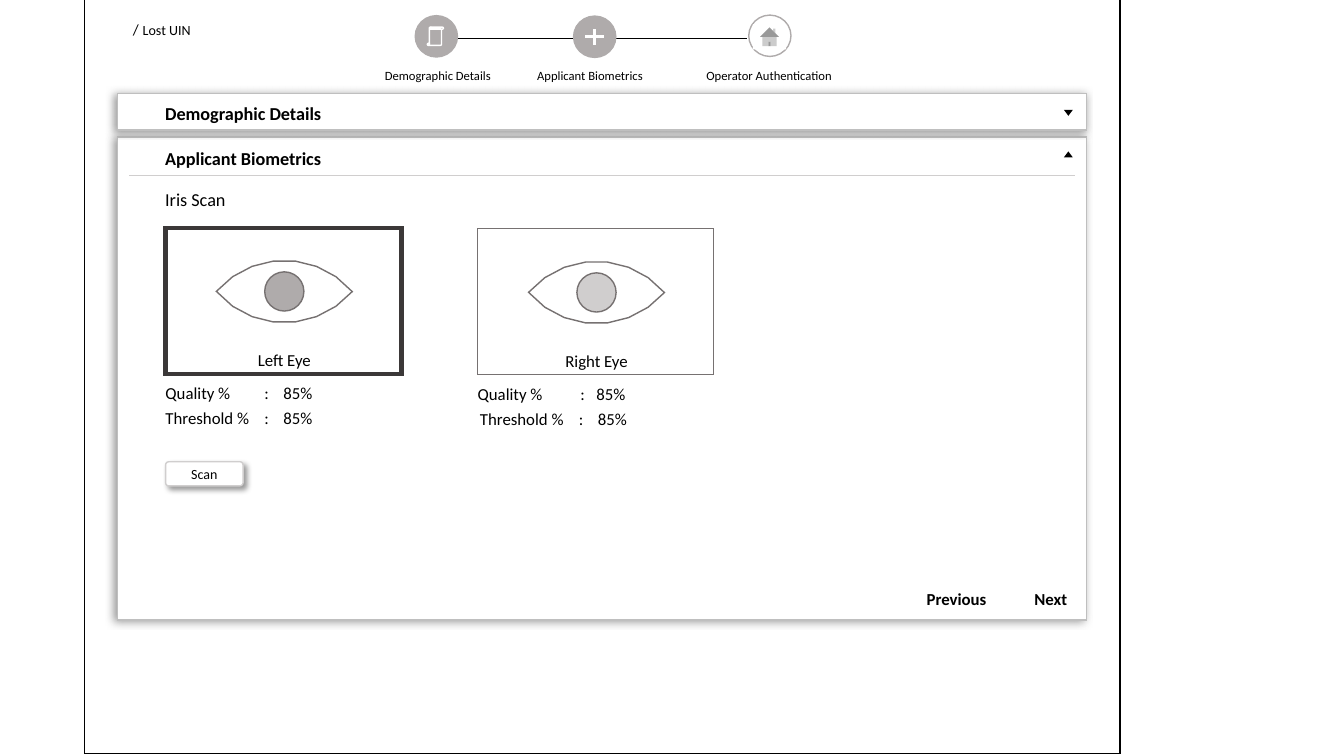
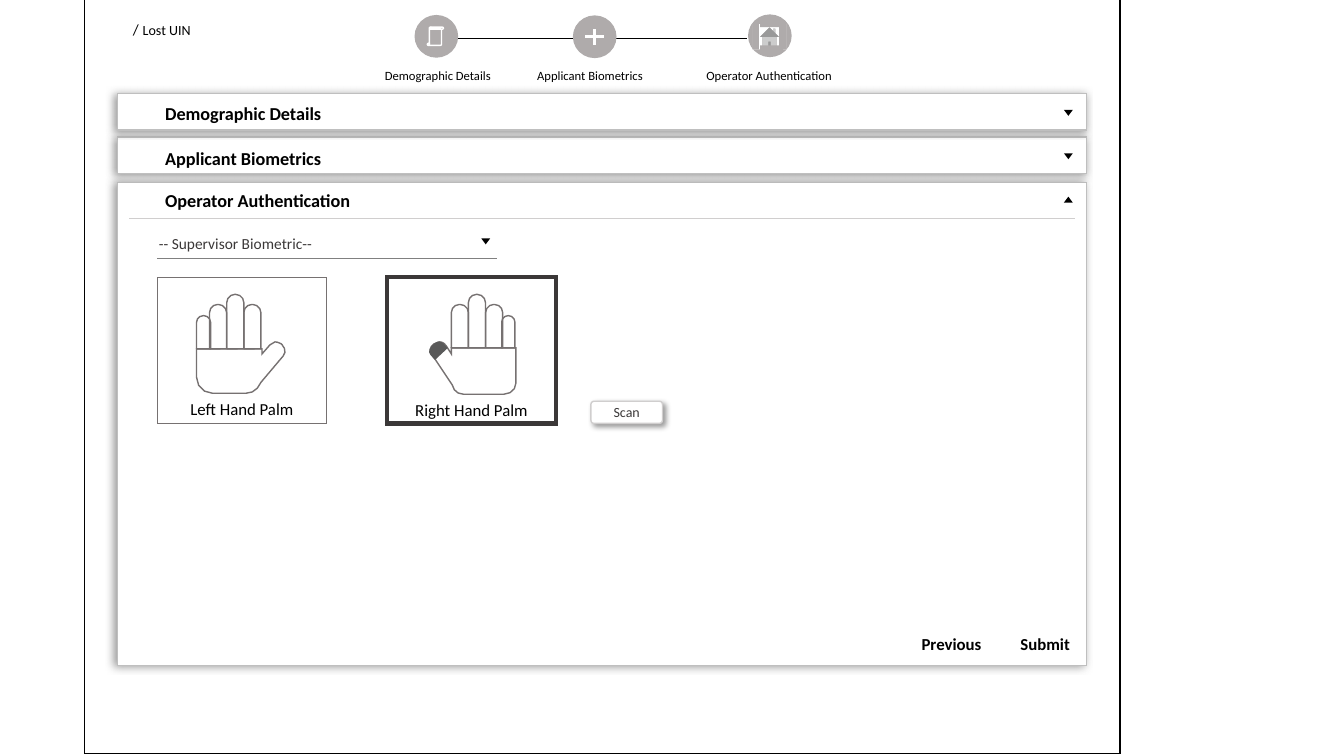
from math import cos, radians, sin

from lxml import etree
from pptx import Presentation
from pptx.dml.color import RGBColor
from pptx.enum.shapes import MSO_CONNECTOR, MSO_SHAPE
from pptx.enum.text import MSO_ANCHOR, PP_ALIGN
from pptx.oxml.ns import qn
from pptx.util import Pt

LEFT, CENTER = PP_ALIGN.LEFT, PP_ALIGN.CENTER
TOP, MIDDLE = MSO_ANCHOR.TOP, MSO_ANCHOR.MIDDLE
STRAIGHT = MSO_CONNECTOR.STRAIGHT
RECT, ROUNDED, OVAL = MSO_SHAPE.RECTANGLE, MSO_SHAPE.ROUNDED_RECTANGLE, MSO_SHAPE.OVAL
TRIANGLE, CARD = MSO_SHAPE.ISOSCELES_TRIANGLE, MSO_SHAPE.FLOWCHART_PROCESS
SCROLL, PLUS = MSO_SHAPE.VERTICAL_SCROLL, MSO_SHAPE.MATH_PLUS
HOME, FINGER = MSO_SHAPE.ACTION_BUTTON_HOME, MSO_SHAPE.ROUND_2_SAME_RECTANGLE

FONT = "Calibri"
COLORS = {
    "black": "000000", "white": "FFFFFF", "dark": "3B3838", "outline": "767171",
    "step": "AFABAB", "pale": "D0CECE", "border": "BFBFBF", "shade": "808080",
    "thumb": "595959",
}
PANEL_LEFT, PANEL_WIDTH = 84, 692.2
CLOSED_HEIGHT, OPEN_HEIGHT = 25.9, 344.9
PANELS = [
    ("Demographic Details", 67, 69.8),
    ("Applicant Biometrics", 98, 101.5),
    ("Operator Authentication", 130.3, 131.8),
]
STEPS = [
    ("Demographic Details", 267.8, 296.6, 11.2),
    ("Applicant Biometrics", 376.6, 409.7, 11.5),
    ("Operator Authentication", 497.5, 534.8, 10.8),
]
EYES = [
    ("Left Eye", 34.3, 64.7, "dark", 3, "step",
     [("Quality %", -7.2, 70.7, 84.3), ("Threshold %", -7.2, 70.7, 84.3)]),
    ("Right Eye", 257.3, 65.4, "outline", 0.75, "pale",
     [("Quality %", -7.2, 73.4, 84.8), ("Threshold %", -5.6, 70.7, 84.3)]),
]
LEFT_HAND = {
    "label": "Left Hand Palm", "label_top": 83.1, "line": ("outline", 1), "base": 51.1,
    "fingers": [(37.4, 19.4, 12.2), (49.7, 12.2, 12.2), (61.9, 19.4, 12.2), (28.1, 27.4, 10.1)],
    "palm": [
        (84.2, 46.1), (85.7, 46.1, 87.1, 46.8, 88.6, 47.5), (89.3, 48.2),
        (91.4, 50.4, 92.2, 54, 90, 56.2), (74.2, 74.9),
        (72, 79.9, 68.4, 82.8, 63.4, 82.8), (39.6, 82.8),
        (33.1, 82.8, 28.1, 77.8, 28.1, 71.3), (28.1, 51.1), (74.9, 51.1),
        (74.9, 54.7), (80.6, 48.2),
    ],
}
RIGHT_HAND = {
    "label": "Right Hand Palm", "label_top": 84, "line": ("dark", 3), "base": 50.4,
    "fingers": [(46.1, 19.4, 12.2), (58.3, 12.2, 12.2), (70.6, 19.4, 12.2), (82.1, 27.4, 9.4)],
    "palm": [
        (37.4, 46.1), (39.6, 46.1, 41, 46.8, 42.5, 49), (46.1, 54.7), (46.1, 50.4),
        (92.2, 50.4), (92.2, 75.6), (92.2, 79.9, 88.6, 83.5, 83.5, 83.5),
        (54.7, 83.5), (50.4, 83.5, 47.5, 80.6, 46.8, 77),
        (32.4, 55.4), (30.2, 52.6, 31, 49, 33.8, 47.5),
    ],
}


def color(name):
    """Return the named palette colour."""
    return RGBColor.from_string(COLORS[name])


def paint(shape, fill=None, line=None, weight=1):
    """Set fill and a sharp-cornered outline and drop the theme shadow."""
    shape.shadow.inherit = False
    if fill:
        shape.fill.solid()
        shape.fill.fore_color.rgb = color(fill)
    else:
        shape.fill.background()
    if line:
        shape.line.color.rgb = color(line)
        shape.line.width = Pt(weight)
        etree.SubElement(shape._element.spPr.find(qn("a:ln")), qn("a:miter"), lim="800000")
    else:
        shape.line.fill.background()
    return shape


def add_shape(page, kind, box, fill=None, line=None, weight=1, adjust=(), turn=0):
    """Add a painted preset shape in a box of points."""
    shape = page.shapes.add_shape(kind, *map(Pt, box))
    for index, value in enumerate(adjust):
        shape.adjustments[index] = value
    shape.rotation = turn
    return paint(shape, fill, line, weight)


def add_shadow(shape, name, opacity, blur, distance, angle):
    """Give a shape an outer shadow."""
    effects = shape._element.spPr.find(qn("a:effectLst"))
    shadow = etree.SubElement(
        effects, qn("a:outerShdw"), blurRad=str(Pt(blur)), dist=str(Pt(distance)),
        dir=str(angle * 60000), algn="ctr", rotWithShape="0")
    shade = etree.SubElement(shadow, qn("a:srgbClr"), val=COLORS[name])
    etree.SubElement(shade, qn("a:alpha"), val=str(opacity * 1000))


def add_line(page, start, end, name, weight=0.5):
    """Add a straight line between two points."""
    line = page.shapes.add_connector(STRAIGHT, *map(Pt, (*start, *end)))
    line.line.color.rgb = color(name)
    line.line.width = Pt(weight)
    etree.SubElement(line._element.spPr, qn("a:effectLst"))


def write(frame, text, size, name="black", bold=False, align=LEFT):
    """Write one formatted paragraph into a text frame."""
    para = frame.paragraphs[0]
    para.text = text
    para.alignment = align
    para.font.name = FONT
    para.font.size = Pt(size)
    para.font.bold = bold
    para.font.color.rgb = color(name)
    return para


def add_text(page, box, text, size, **style):
    """Add a wrapping text box and return its paragraph."""
    frame = page.shapes.add_textbox(*map(Pt, box)).text_frame
    frame.word_wrap = True
    return write(frame, text, size, **style)


def set_tabs(para, stops):
    """Set left tab stops on a paragraph."""
    tabs = etree.Element(qn("a:tabLst"))
    para._p.get_or_add_pPr().insert(0, tabs)
    for stop in stops:
        etree.SubElement(tabs, qn("a:tab"), pos=str(Pt(stop)), algn="l")


def add_outline(page, points):
    """Add a closed, unfilled outline."""
    points = [(Pt(x), Pt(y)) for x, y in points]
    builder = page.shapes.build_freeform(*points[0], scale=1.0)
    builder.add_line_segments(points[1:], close=True)
    paint(builder.convert_to_shape(), None, "outline")


def flatten(segments, left, top, count=3):
    """Turn line and Bezier segments into points offset by left and top."""
    points = []
    for segment in segments:
        if len(segment) == 2:
            points.append(segment)
            continue
        start = points[-1]
        for step in range(1, count + 1):
            t = step / count
            u = 1 - t
            points.append(tuple(
                u ** 3 * start[axis] + 3 * u * u * t * segment[axis]
                + 3 * u * t * t * segment[axis + 2] + t ** 3 * segment[axis + 4]
                for axis in (0, 1)))
    return [(left + x, top + y) for x, y in points]


def add_arrow(page, left, top, down):
    """Add a small triangle that points down or up."""
    add_shape(page, TRIANGLE, (left, top, 4.3, 2.9), "black", "black",
              turn=180 if down else 0)


def add_title(page):
    """Format the title placeholder as the page's breadcrumb."""
    title = page.shapes.title
    title.left, title.top, title.width, title.height = map(Pt, (87.8, 10.1, 56.2, 21.6))
    frame = title.text_frame
    frame.word_wrap = False
    frame.vertical_anchor = TOP
    para = write(frame, "/", 11)
    for text, size in ((" ", 12), ("Lost UIN", 10)):
        span = para.add_run()
        span.text = text
        span.font.size = Pt(size)


def add_stepper(page, finished):
    """Add the three linked steps with their icons and labels."""
    for start, end in ((326.9, 409.7), (439.9, 533.5)):
        add_line(page, (start, 27.4), (end, 27.4), "black")
    for index, (label, label_left, left, top) in enumerate(STEPS):
        fill = "step" if index < 2 or finished else "white"
        add_shape(page, OVAL, (left, top, 30.2, 29.5), fill, "step")
        add_text(page, (label_left, 44.6, 105, 18), label, 9)
    add_shape(page, SCROLL, (305.3, 19.4, 11.5, 13), "step", "white")
    add_shape(page, PLUS, (416.2, 19.4, 16.6, 13.7), "white", "white", 1.5, adjust=[0.042])
    add_shape(page, HOME, (537.8, 17.3, 23.8, 18), "white")
    if finished:
        for strip in ((537.5, 17.3, 4.6, 18), (556.6, 17.3, 5, 18),
                      (542.9, 32.4, 16.6, 3.6), (542.9, 15.8, 16.6, 3.6)):
            add_shape(page, RECT, strip, "step")


def add_panel(page, title, top, title_top, is_open):
    """Add one accordion panel with its heading and arrow."""
    height = OPEN_HEIGHT if is_open else CLOSED_HEIGHT
    panel = add_shape(page, RECT, (PANEL_LEFT, top, PANEL_WIDTH, height), "white", "border")
    add_shadow(panel, "shade", 80, 6, 2, 170)
    add_text(page, (110.9, title_top, 160.6, 23), title, 13, bold=True)
    add_arrow(page, 761, top + (11 if is_open else 12), not is_open)
    if is_open:
        divider = title_top + 24.1
        add_line(page, (92.2, divider), (768.2, divider), "pale")


def add_actions(page, top, actions):
    """Add the bold actions at the foot of the open panel."""
    for text, center in actions:
        add_text(page, (center - 28.8, top + OPEN_HEIGHT - 25.8, 57.6, 21.6), text, 12,
                 bold=True, align=CENTER)


def add_scan_button(page, box, name):
    """Add a raised Scan button."""
    button = add_shape(page, ROUNDED, box, "white", "pale", adjust=[0.135])
    add_shadow(button, "black", 40, 4, 3, 45)
    frame = button.text_frame
    frame.margin_top = frame.margin_bottom = 0
    frame.vertical_anchor = MIDDLE
    write(frame, "Scan", 10, name, align=CENTER)


def add_eye(page, left, top, label, line, weight, iris, readings):
    """Add an eye card with its readings below."""
    add_shape(page, CARD, (left, top, 168.5, 104.4), None, line, weight)
    center_x, center_y = left + 84.8, top + 45.5
    half_width, half_height = 48.6, 22.2
    radius = (half_width ** 2 + half_height ** 2) / (2 * half_height)
    lids = []
    for side in (-1, 1):
        for angle in range(-49, 49, 14):
            x = radius * sin(radians(angle))
            y = radius * cos(radians(angle)) - radius + half_height
            lids.append((center_x - side * x, center_y + side * max(y, 0)))
    add_outline(page, lids)
    add_shape(page, OVAL, (center_x - 14, center_y - 14, 28, 28), iris, "outline")
    add_text(page, (left + 24.3, top + 83.5, 121, 21.6), label, 12, align=CENTER)
    for row, (name, shift, *stops) in enumerate(readings):
        para = add_text(page, (left + shift, top + 106.9 + row * 18, 169.2, 21.6),
                        f"{name}\t:\t85%", 12)
        set_tabs(para, stops)


def add_hand(page, left, top, hand):
    """Add a hand card drawn from fingers and a palm."""
    for x, y, width in hand["fingers"]:
        add_shape(page, FINGER, (left + x, top + y, width, hand["base"] - y),
                  None, "outline", adjust=[0.478, 0.033])
    add_outline(page, flatten(hand["palm"], left, top))
    add_shape(page, CARD, (left, top, 121, 104.4), None, *hand["line"])
    add_text(page, (left, top + hand["label_top"], 121, 21.6), hand["label"], 12, align=CENTER)


def add_iris_content(page, left, top):
    """Fill the open panel with the iris scan."""
    add_text(page, (left + 26.9, top + 33, 160.6, 23), "Iris Scan", 13)
    for label, x, y, *style in EYES:
        add_eye(page, left + x, top + y, label, *style)
    add_scan_button(page, (left + 34.3, top + 231.8, 55.4, 17.3), "black")
    add_actions(page, top, [("Previous", 683.3), ("Next", 750.6)])


def add_palm_content(page, left, top):
    """Fill the open panel with the supervisor's palm scan."""
    add_text(page, (left + 22.4, top + 33.1, 124.6, 20.9), "-- Supervisor Biometric--", 11,
             name="dark")
    add_arrow(page, left + 260.8, top + 40.5, True)
    add_line(page, (left + 28.5, top + 54.2), (left + 271, top + 54.2), "shade", 1)
    add_hand(page, left + 28.3, top + 67.8, LEFT_HAND)
    add_hand(page, left + 192.3, top + 67.8, RIGHT_HAND)
    add_shape(page, FINGER, (left + 222.5, top + 115.3, 11.5, 7.9), "thumb", "thumb",
              adjust=[0.5, 0], turn=317.1)
    add_scan_button(page, (left + 338.1, top + 156.3, 51.1, 15.8), "dark")
    add_actions(page, top, [("Previous", 679.7), ("Submit", 746.6)])


def add_page(deck, open_index, add_content):
    """Add a page with panels up to the open one and its content."""
    page = deck.slides.add_slide(deck.slide_layouts[5])
    add_title(page)
    for index in range(open_index, -1, -1):
        add_panel(page, *PANELS[index], index == open_index)
    add_shape(page, RECT, (60.5, -1.6, 739.6, 540), None, "black")
    add_stepper(page, open_index == 2)
    add_content(page, PANEL_LEFT, PANELS[open_index][1])


def main():
    """Build and save the deck."""
    deck = Presentation()
    deck.slide_width, deck.slide_height = Pt(960), Pt(540)
    add_page(deck, 1, add_iris_content)
    add_page(deck, 2, add_palm_content)
    deck.save("out.pptx")


if __name__ == "__main__":
    main()
